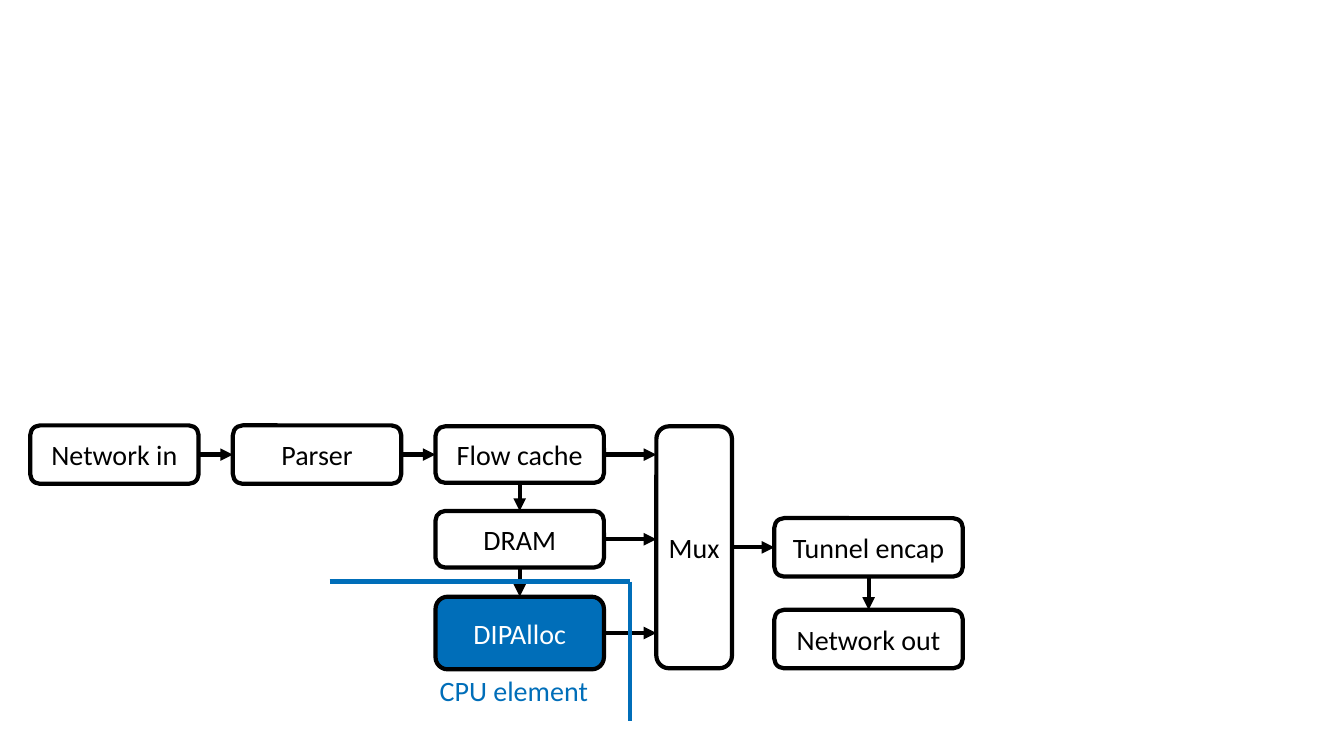
from lxml import etree
from pptx import Presentation
from pptx import util as u
from pptx.dml.color import RGBColor
from pptx.enum import shapes, text
from pptx.oxml import ns

COLORS = {"black": "000000", "white": "FFFFFF", "blue": "006EB9"}
TOP, LEFT, BOTTOM, RIGHT = range(4)

deck = Presentation()
deck.slide_width, deck.slide_height = u.Inches(13.33), u.Inches(7.5)
page = deck.slides.add_slide(deck.slide_layouts[6])


def add_span(para, words, color):
    span = para.add_run()
    span.text = words
    span.font.name, span.font.size = "Calibri", u.Pt(20)
    span.font.color.rgb = RGBColor.from_string(COLORS[color])


def add_line(x1, y1, x2, y2, color="black", arrow=True):
    line = page.shapes.add_connector(
        shapes.MSO_CONNECTOR.STRAIGHT, *map(u.Inches, (x1, y1, x2, y2)))
    line.line.width = u.Pt(3)
    line.line.color.rgb = RGBColor.from_string(COLORS[color])
    if arrow:
        etree.SubElement(line.line._get_or_add_ln(), ns.qn("a:tailEnd"), type="triangle")
    etree.SubElement(line._element.spPr, ns.qn("a:effectLst"))
    return line


# Pipeline stages: left, top, width, height
stages = {
    "Network in": (0.3, 4.22, 1.67, 0.58),
    "Parser": (2.31, 4.22, 1.67, 0.58),
    "Flow cache": (4.32, 4.23, 1.67, 0.56),
    "DRAM": (4.32, 5.07, 1.67, 0.56),
    "DIPAlloc": (4.32, 5.92, 1.67, 0.72),
    "Mux": (6.51, 4.23, 0.75, 2.4),
    "Tunnel encap": (7.68, 5.14, 1.87, 0.58),
    "Network out": (7.68, 6.05, 1.87, 0.58),
}
boxes = {}
for name, place in stages.items():
    kind = shapes.MSO_SHAPE.ROUNDED_RECTANGLE
    if name == "Network in":
        kind = shapes.MSO_SHAPE.FLOWCHART_ALTERNATE_PROCESS
    fill, ink = ("blue", "white") if name == "DIPAlloc" else ("white", "black")
    box = boxes[name] = page.shapes.add_shape(kind, *map(u.Inches, place))
    box.shadow.inherit = False
    box.fill.solid()
    box.fill.fore_color.rgb = RGBColor.from_string(COLORS[fill])
    box.line.color.rgb = RGBColor.from_string(COLORS["black"])
    box.line.width = u.Pt(3)
    frame = box.text_frame
    frame.word_wrap = True
    frame.vertical_anchor = text.MSO_ANCHOR.MIDDLE
    frame.margin_left = frame.margin_right = 0
    frame.margin_top = frame.margin_bottom = u.Inches(0.04)
    para = frame.paragraphs[0]
    para.alignment = text.PP_ALIGN.CENTER
    add_span(para, name, ink)

# Arrows between neighbouring stages
for start, end, exit_side, entry_side in [
    ("Network in", "Parser", RIGHT, LEFT),
    ("Parser", "Flow cache", RIGHT, LEFT),
    ("Flow cache", "DRAM", BOTTOM, TOP),
    ("DRAM", "DIPAlloc", BOTTOM, TOP),
    ("Mux", "Tunnel encap", RIGHT, LEFT),
    ("Tunnel encap", "Network out", BOTTOM, TOP),
]:
    arrow = add_line(0, 0, 0, 0)
    arrow.begin_connect(boxes[start], exit_side)
    arrow.end_connect(boxes[end], entry_side)

# Level arrows into the side of the mux
for name in ("Flow cache", "DRAM", "DIPAlloc"):
    left, top, width, height = stages[name]
    middle = top + height / 2
    arrow = add_line(left + width, middle, stages["Mux"][0], middle)
    arrow.begin_connect(boxes[name], RIGHT)

# Border of the CPU element
add_line(3.27, 5.77, 6.25, 5.77, "blue", arrow=False)
add_line(6.25, 5.77, 6.25, 7.15, "blue", arrow=False)

# Caption of the CPU element
caption = page.shapes.add_textbox(*map(u.Inches, (4.16, 6.57, 2.01, 0.63)))
frame = caption.text_frame
frame.word_wrap = False
frame.auto_size = text.MSO_AUTO_SIZE.SHAPE_TO_FIT_TEXT
frame.margin_left = frame.margin_right = u.Inches(0.2)
frame.margin_top = frame.margin_bottom = u.Inches(0.16)
para = frame.paragraphs[0]
para.line_spacing, para.space_after = 0.9, u.Pt(6)
add_span(para, "CPU element", "blue")

deck.save("out.pptx")
